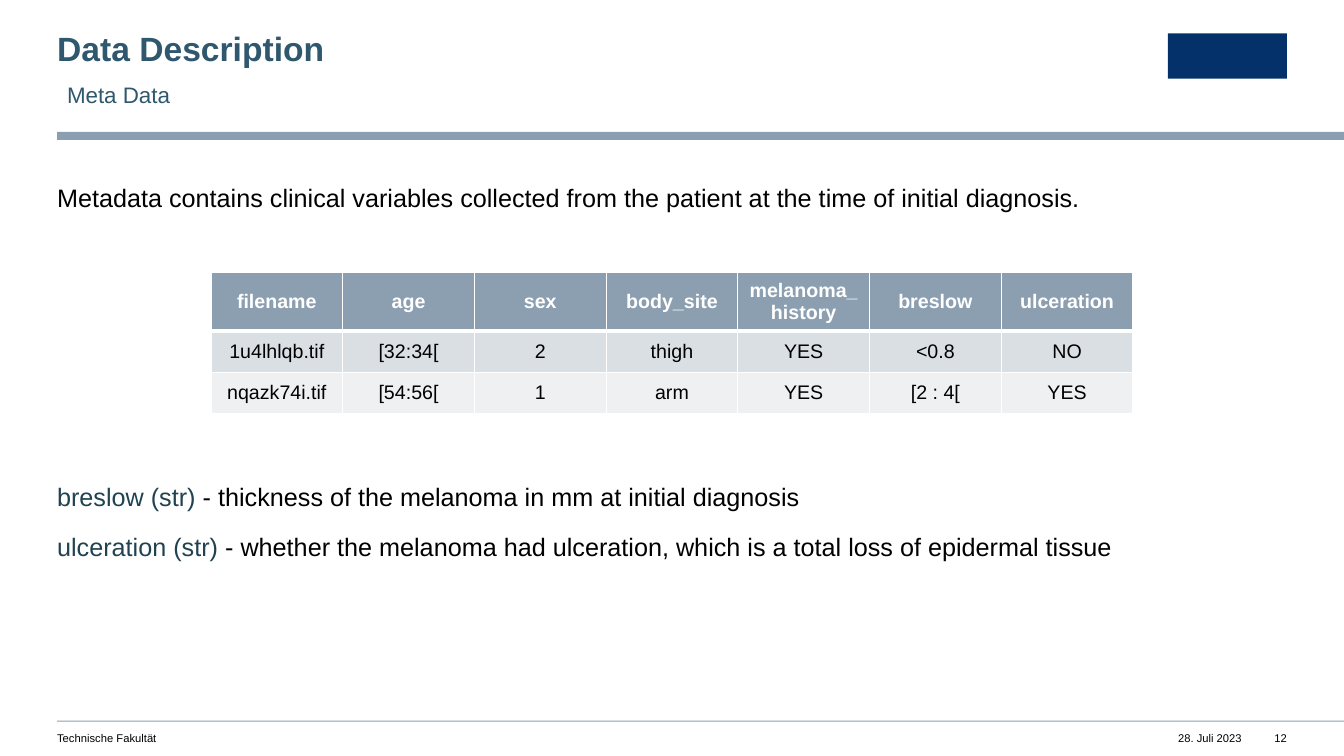
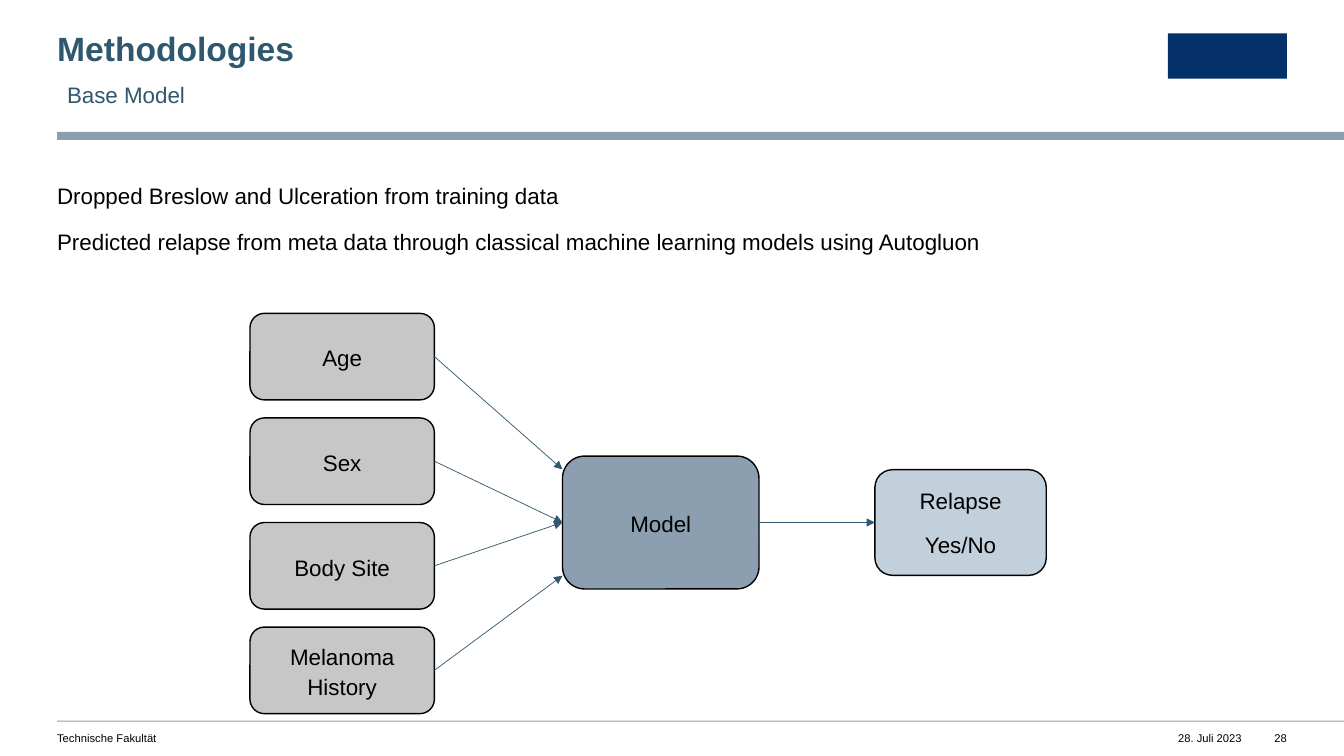
from lxml import etree
from pptx import Presentation
from pptx.dml.color import RGBColor
from pptx.enum.shapes import MSO_CONNECTOR, MSO_SHAPE
from pptx.enum.text import MSO_ANCHOR, PP_ALIGN
from pptx.oxml.ns import qn
from pptx.util import Inches, Pt

RECT, ROUND = MSO_SHAPE.RECTANGLE, MSO_SHAPE.ROUNDED_RECTANGLE
STRAIGHT = MSO_CONNECTOR.STRAIGHT
TOP, MIDDLE = MSO_ANCHOR.TOP, MSO_ANCHOR.MIDDLE
LEFT, CENTER, RIGHT = PP_ALIGN.LEFT, PP_ALIGN.CENTER, PP_ALIGN.RIGHT
LEFT_SIDE, RIGHT_SIDE = 1, 3

COLORS = {
    "band": "8C9FB1", "logo": "04316A", "title": "2F586E", "term": "204251",
    "text": "000000", "white": "FFFFFF", "odd_row": "DADFE4", "even_row": "EEF0F2",
    "input": "C7C7C7", "outcome": "C2D0DC",
}
SLIDE = (0, 0, Inches(13.33), Inches(7.5))
MARGIN, CONTENT = 4.25, 91.5
BODY_TOP = 23.73
BODY_PARA = {"line_spacing": 1.1, "space_after": Pt(12)}
BODY_INSETS = (0, 0, 0.39, 0)
NO_INSETS = (0, 0, 0, 0)


def color(name):
    return RGBColor.from_string(COLORS[name])


def area(box, x, y, w, h):
    left, top, width, height = box
    return (round(left + width * x / 100), round(top + height * y / 100),
            round(width * w / 100), round(height * h / 100))


def set_attrs(obj, values):
    for name, value in values.items():
        setattr(obj, name, value)


def write(tf, paragraphs, size, para=None, ink="text", bold=False,
          insets=(0.1, 0.05, 0.1, 0.05), anchor=TOP):
    sides = ("margin_left", "margin_top", "margin_right", "margin_bottom")
    set_attrs(tf, {side: Inches(v) for side, v in zip(sides, insets)})
    set_attrs(tf, {"word_wrap": True, "vertical_anchor": anchor})
    for i, runs in enumerate(paragraphs):
        p = tf.add_paragraph() if i else tf.paragraphs[0]
        set_attrs(p, {"alignment": LEFT, **(para or {})})
        for text, run_ink in ([(runs, ink)] if isinstance(runs, str) else runs):
            r = p.add_run()
            r.text = text
            set_attrs(r.font, {"name": "Arial", "size": Pt(size), "bold": bold})
            r.font.color.rgb = color(run_ink)


def add_text(s, box, paragraphs, size, **style):
    write(s.shapes.add_textbox(*box).text_frame, paragraphs, size, **style)


def add_block(s, box, fill, kind=RECT, outline=False):
    sp = s.shapes.add_shape(kind, *box)
    sp.shadow.inherit = False
    sp.fill.solid()
    sp.fill.fore_color.rgb = color(fill)
    if outline:
        sp.line.color.rgb = color("text")
        sp.line.width = Pt(1)
    else:
        sp.line.fill.background()
    return sp


def add_body(s, top, height, paragraphs, size):
    add_text(s, area(SLIDE, MARGIN, top, CONTENT, height), paragraphs, size,
             para=BODY_PARA, insets=BODY_INSETS)


def add_header(s, title, subtitle):
    add_block(s, area(SLIDE, MARGIN, 17.45, 100 - MARGIN, 1.07), "band")
    add_block(s, area(SLIDE, 86.9, 4.4, 8.85, 6), "logo")
    sp = s.shapes.title
    box = area(SLIDE, MARGIN, 4.27, 56.2, 4.8)
    set_attrs(sp, dict(zip(("left", "top", "width", "height"), box)))
    write(sp.text_frame, [title], 24, {"line_spacing": 0.9}, "title", True, NO_INSETS)
    add_text(s, area(SLIDE, MARGIN, 9.73, 51.75, 4.93), [subtitle], 16,
             para=BODY_PARA, ink="title")


def add_footer(s, number):
    add_block(s, area(SLIDE, MARGIN, 95.33, 100 - MARGIN, 0.13), "band")
    for text, x, w, align in (("Technische Fakultät", MARGIN, 44.85, LEFT),
                              ("28. Juli 2023", 85.4, 7, RIGHT),
                              (str(number), 93.75, 2, RIGHT)):
        add_text(s, area(SLIDE, x, 96.8, w, 1.75), [text], 8,
                 para={"alignment": align}, insets=NO_INSETS)


def new_slide(prs, title, subtitle, number):
    s = prs.slides.add_slide(prs.slide_layouts[5])
    add_header(s, title, subtitle)
    add_footer(s, number)
    return s


def add_border(cell, side, width):
    ln = etree.SubElement(cell._tc.get_or_add_tcPr(), qn(f"a:ln{side}"), w=str(Pt(width)))
    fill = etree.SubElement(ln, qn("a:solidFill"))
    etree.SubElement(fill, qn("a:srgbClr"), val=COLORS["white"])


def add_data_table(s, box, rows, header_share):
    table = s.shapes.add_table(len(rows), len(rows[0]), *box).table
    for column in table.columns:
        column.width = box[2] // len(rows[0])
    body_share = (100 - header_share) / (len(rows) - 1)
    fills = ("band", "odd_row", "even_row")
    for i, values in enumerate(rows):
        header = i == 0
        table.rows[i].height = round(box[3] * (body_share if i else header_share) / 100)
        for j, value in enumerate(values):
            cell = table.cell(i, j)
            borders = {"L": 1, "R": 1, "T": 3 if i == 1 else 1, "B": 3 if header else 1}
            for side, width in borders.items():
                add_border(cell, side, width)
            cell.fill.solid()
            cell.fill.fore_color.rgb = color(fills[i])
            write(cell.text_frame, [value], 14, {"alignment": CENTER},
                  "white" if header else "text", header)
            set_attrs(cell, dict.fromkeys(
                ("margin_left", "margin_top", "margin_right", "margin_bottom"), Inches(0.06)))
            cell.vertical_anchor = MIDDLE


def add_node(s, box, lines, fill, spacing=1.1):
    sp = add_block(s, box, fill, ROUND, outline=True)
    write(sp.text_frame, lines, 16,
          {**BODY_PARA, "alignment": CENTER, "line_spacing": spacing},
          insets=(0.2, 0.2, 0.2, 0.2), anchor=MIDDLE)
    return sp


def add_arrow(s, source, target, share=50):
    y = target.top + round(target.height * share / 100)
    cx = s.shapes.add_connector(STRAIGHT, source.left + source.width,
                                source.top + source.height // 2, target.left, y)
    cx.begin_connect(source, RIGHT_SIDE)
    if share == 50:
        cx.end_connect(target, LEFT_SIDE)
    cx.line.color.rgb = color("title")
    cx.line.width = Pt(0.5)
    etree.SubElement(cx.line._get_or_add_ln(), qn("a:tailEnd"), type="triangle")
    etree.SubElement(cx._element.spPr, qn("a:effectLst"))


def add_model_diagram(s, box, inputs):
    gap = 4.5
    height = (100 - gap * (len(inputs) - 1)) / len(inputs)
    axis = 2 * (height + gap)
    model = add_node(s, area(box, 39.24, axis - 16.6, 24.68, 33.2), ["Model"], "band")
    outcome = add_node(s, area(box, 78.48, axis - 13.2, 21.52, 26.4),
                       ["Relapse", "Yes/No"], "outcome", 1.0)
    for i, (name, share) in enumerate(inputs):
        node = add_node(s, area(box, 0, i * (height + gap), 23.16, height), [name], "input")
        add_arrow(s, node, model, share)
    add_arrow(s, model, outcome)


def data_description(prs):
    s = new_slide(prs, "Data Description", "Meta Data", 12)
    add_body(s, BODY_TOP, 6, [
        "Metadata contains clinical variables collected from the patient "
        "at the time of initial diagnosis."], 18)
    add_data_table(s, area(SLIDE, 15.7, 36, 68.6, 18.4), [
        ("filename", "age", "sex", "body_site", "melanoma_history", "breslow", "ulceration"),
        ("1u4lhlqb.tif", "[32:34[", "2", "thigh", "YES", "<0.8", "NO"),
        ("nqazk74i.tif", "[54:56[", "1", "arm", "YES", "[2 : 4[", "YES"),
    ], header_share=40.8)
    add_body(s, 63.3, 14, [
        [("breslow (str) ", "term"),
         ("- thickness of the melanoma in mm at initial diagnosis", "text")],
        [("ulceration (str) ", "term"),
         ("- whether the melanoma had ulceration, which is a total loss of epidermal tissue",
          "text")],
    ], 18)


def methodologies(prs):
    s = new_slide(prs, "Methodologies", "Base Model", 28)
    add_body(s, BODY_TOP, 14, [
        "Dropped Breslow and Ulceration from training data",
        "Predicted relapse from meta data through classical machine learning models "
        "using Autogluon"], 16)
    add_model_diagram(s, area(SLIDE, 18.6, 41.45, 59.25, 52.95), [
        ("Age", 10), ("Sex", 50), ("Body Site", 50), ("Melanoma History", 90)])


def main():
    prs = Presentation()
    prs.slide_width, prs.slide_height = SLIDE[2:]
    data_description(prs)
    methodologies(prs)
    prs.save("out.pptx")


if __name__ == "__main__":
    main()
